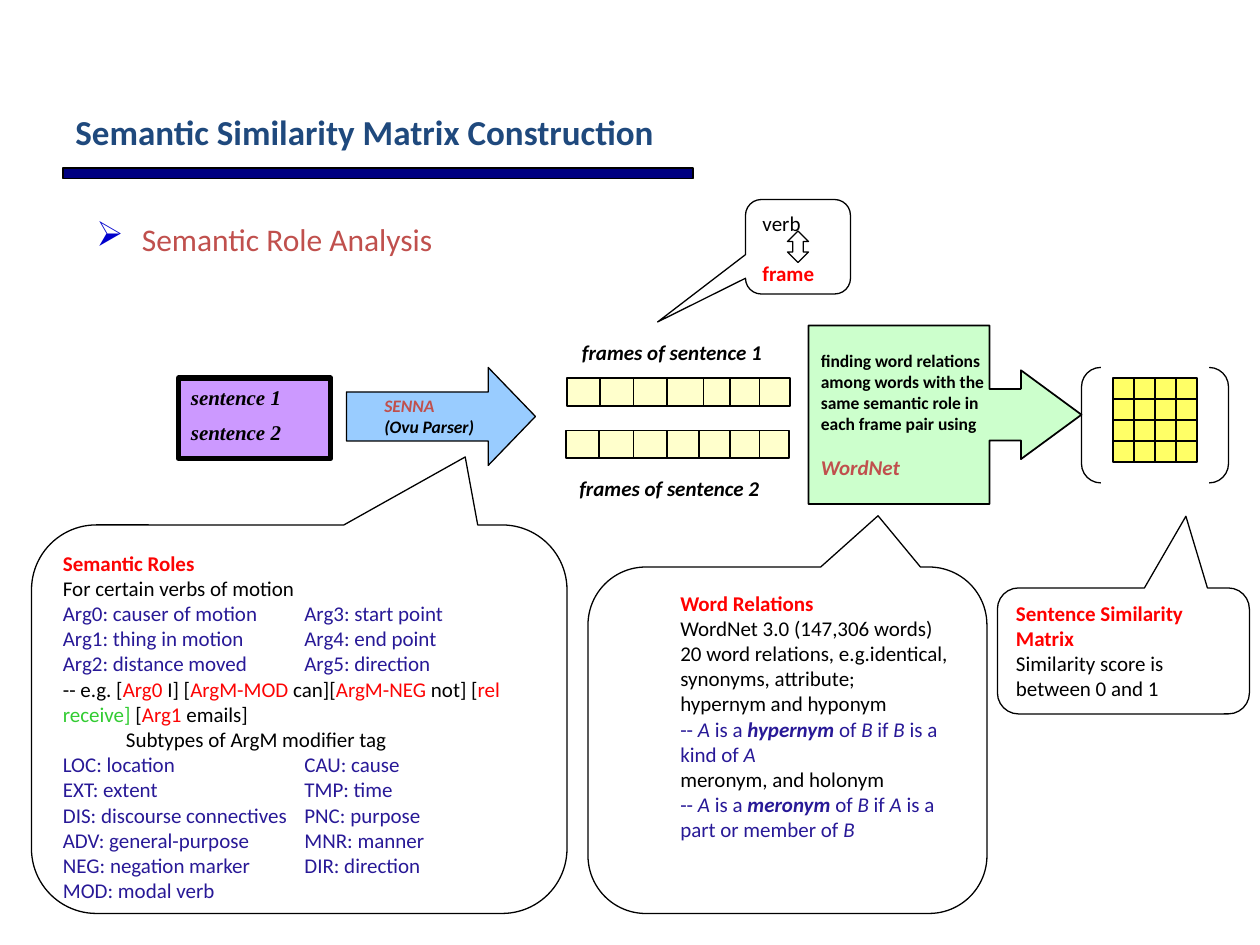
from dataclasses import dataclass

from lxml import etree
from pptx import Presentation
from pptx.dml.color import RGBColor
from pptx.enum import shapes, text
from pptx.oxml import ns
from pptx.util import Pt

KINDS = shapes.MSO_SHAPE


@dataclass(frozen=True)
class Theme:
    font: str = "Calibri"
    serif: str = "Times New Roman"
    title_size: int = 20
    section_size: int = 18
    body_size: int = 12
    small_size: int = 10
    black: str = "000000"
    title: str = "1F497D"
    accent: str = "C0504D"
    red: str = "FF0000"
    role: str = "FC0404"
    green: str = "33CC33"
    indigo: str = "281997"
    bullet: str = "0000CC"
    rule: str = "000080"
    sentence: str = "CC99FF"
    parser: str = "99CCFF"
    frame: str = "FFFFCC"
    finder: str = "CCFFCC"
    matrix: str = "FFFF66"


THEME = Theme()


def write_para(frame, content, size=THEME.body_size, color=THEME.black, bold=False,
               italic=False, font=THEME.font, before=0, margin=0, indent=0, tab=None, bullet=None):
    """Add a paragraph; content is a string or a list of (text, changes) spans."""
    first = frame.paragraphs[0]
    para = frame.add_paragraph() if first.runs else first
    para.alignment = text.PP_ALIGN.LEFT
    para.space_before = Pt(before)
    props = para._p.get_or_add_pPr()
    if margin:
        props.set("marL", str(Pt(margin)))
        props.set("indent", str(Pt(indent)))
    if bullet:
        paint = etree.SubElement(props, ns.qn("a:buClr"))
        etree.SubElement(paint, ns.qn("a:srgbClr"), val=THEME.bullet)
        etree.SubElement(props, ns.qn("a:buSzPct"), val="110000")
        etree.SubElement(props, ns.qn("a:buChar"), char=bullet)
    if tab:
        props.set("defTabSz", str(Pt(tab)))
        stops = etree.SubElement(props, ns.qn("a:tabLst"))
        etree.SubElement(stops, ns.qn("a:tab"), pos=str(Pt(tab)), algn="l")
    base = dict(color=color, bold=bold, italic=italic)
    for words, changes in [(content, {})] if isinstance(content, str) else content:
        style = {**base, **changes}
        span = para.add_run()
        span.text = words
        span.font.name = font
        span.font.size = Pt(size)
        span.font.bold = style["bold"]
        span.font.italic = style["italic"]
        span.font.color.rgb = RGBColor.from_string(style["color"])


def add_box(page, kind, box, fill=None, weight=0.75, adjust=()):
    shape = page.shapes.add_shape(kind, *map(Pt, box))
    shape.shadow.inherit = False
    for index, value in enumerate(adjust):
        shape.adjustments[index] = value
    if fill:
        shape.fill.solid()
        shape.fill.fore_color.rgb = RGBColor.from_string(fill)
    else:
        shape.fill.background()
    shape.line.color.rgb = RGBColor.from_string(THEME.black)
    shape.line.width = Pt(weight)
    shape.text_frame.vertical_anchor = text.MSO_ANCHOR.TOP
    return shape


def add_callout(page, box, tip):
    shape = add_box(page, KINDS.ROUNDED_RECTANGULAR_CALLOUT, box, adjust=(*tip, 0.167))
    return shape.text_frame


def add_label(page, box, content, anchor=text.MSO_ANCHOR.MIDDLE, wrap=True, **style):
    frame = page.shapes.add_textbox(*map(Pt, box)).text_frame
    frame.word_wrap = wrap
    frame.vertical_anchor = anchor
    write_para(frame, content, **style)


def add_line(page, x1, y1, x2, y2, weight):
    line = page.shapes.add_connector(shapes.MSO_CONNECTOR.STRAIGHT, *map(Pt, (x1, y1, x2, y2)))
    line.line.color.rgb = RGBColor.from_string(THEME.black)
    line.line.width = Pt(weight)
    etree.SubElement(line._element.spPr, ns.qn("a:effectLst"))


def draw_heading(page, box):
    left, top, width, height = box
    add_label(page, box, "Semantic Similarity Matrix Construction",
              size=THEME.title_size, color=THEME.title, bold=True)
    add_box(page, KINDS.RECTANGLE, (left, top + 66, 360, 6), THEME.rule)
    add_label(page, (left + 12, top + 92, 402, 52), "Semantic Role Analysis",
              anchor=text.MSO_ANCHOR.TOP, size=THEME.section_size, color=THEME.accent,
              before=5, margin=26, indent=-26, bullet="➢")


def draw_sentences(page, box):
    frame = add_box(page, KINDS.RECTANGLE, box, THEME.sentence, weight=3).text_frame
    for number in (1, 2):
        write_para(frame, f"sentence {number}", font=THEME.serif, bold=True, italic=True,
                   before=6 * (number - 1))


def draw_parser(page, box):
    frame = add_box(page, KINDS.RIGHT_ARROW, box, THEME.parser, adjust=(0.5, 0.482)).text_frame
    frame.vertical_anchor = text.MSO_ANCHOR.MIDDLE
    frame.margin_left = Pt(21.6)
    for words, color in (("SENNA", THEME.accent), ("(Ovu Parser)", THEME.black)):
        write_para(frame, words, size=THEME.small_size, color=color, bold=True, italic=True)


def draw_frame_row(page, box, splits, label, label_box):
    left, top, width, height = box
    add_box(page, KINDS.RECTANGLE, box, THEME.frame, weight=1)
    for split in splits:
        add_line(page, left + split, top, left + split, top + height, 1)
    add_label(page, label_box, label, wrap=False, bold=True, italic=True)


def draw_finder(page, box):
    frame = add_box(page, KINDS.RIGHT_ARROW_CALLOUT, box, THEME.finder, weight=1,
                    adjust=(0.289, 0.249, 0.339, 0.663)).text_frame
    frame.word_wrap = False
    frame.vertical_anchor = text.MSO_ANCHOR.MIDDLE
    for words in ("finding word relations", "among words with the",
                  "same semantic role in", "each frame pair using"):
        write_para(frame, words, size=THEME.small_size, bold=True)
    write_para(frame, "WordNet", color=THEME.accent, bold=True, italic=True, before=12)


def draw_roles(page, box):
    frame = add_callout(page, box, (0.31, -0.675))
    role, plain = dict(color=THEME.role), {}
    column = dict(color=THEME.indigo, tab=138)
    write_para(frame, "Semantic Roles", color=THEME.role, bold=True)
    write_para(frame, "For certain verbs of motion")
    for words in ("Arg0: causer of motion\tArg3: start point",
                  "Arg1: thing in motion\tArg4: end point",
                  "Arg2: distance moved\tArg5: direction"):
        write_para(frame, words, **column)
    write_para(frame, [("-- e.g. [", plain), ("Arg0", role), (" I] [", plain),
                       ("ArgM-MOD", role), (" can][", plain), ("ArgM-NEG", role),
                       (" not] [", plain), ("rel ", dict(color=THEME.red)),
                       ("receive]", dict(color=THEME.green)), (" [", plain),
                       ("Arg1", role), (" emails]", plain)])
    write_para(frame, "Subtypes of ArgM modifier tag", margin=36)
    for words in ("LOC: location\tCAU: cause", "EXT: extent\tTMP: time",
                  "DIS: discourse connectives\tPNC: purpose",
                  "ADV: general-purpose\tMNR: manner",
                  "NEG: negation marker\tDIR: direction", "MOD: modal verb"):
        write_para(frame, words, **column)


def draw_relations(page, box):
    frame = add_callout(page, box, (0.227, -0.648))
    slant, plain = dict(italic=True), {}

    def define(relation, subject, link, target):
        write_para(frame, [("-- ", plain), ("A", slant), (" is a ", plain),
                           (relation, dict(bold=True, italic=True)), (" of ", plain),
                           ("B", slant), (" if ", plain), (subject, slant),
                           (f" is a {link} of ", plain), (target, slant)],
                   color=THEME.indigo, margin=36)

    write_para(frame, "Word Relations", color=THEME.red, bold=True, margin=36)
    for words in ("WordNet 3.0 (147,306 words)",
                  "20 word relations, e.g.identical, synonyms, attribute;",
                  "hypernym and hyponym"):
        write_para(frame, words, margin=36)
    define("hypernym", "B", "kind", "A")
    write_para(frame, "meronym, and holonym", margin=36)
    define("meronym", "A", "part or member", "B")


def draw_verb_note(page, box):
    left, top, width, height = box
    add_box(page, KINDS.UP_DOWN_ARROW, (left + 24, top + 18, 12, 18), adjust=(0.3, 0.5))
    frame = add_callout(page, box, (-1.337, 0.796))
    write_para(frame, "verb")
    write_para(frame, "frame", color=THEME.red, bold=True, before=14)


def draw_score_note(page, box):
    frame = add_callout(page, box, (0.248, -1.069))
    write_para(frame, "Sentence Similarity Matrix", color=THEME.red, bold=True)
    write_para(frame, "Similarity score is between 0 and 1")


def draw_matrix(page, box, count=4):
    left, top, width, height = box
    add_box(page, KINDS.DOUBLE_BRACKET, (left - 18, top - 6, width + 36, height + 18),
            adjust=(0.167,))
    add_box(page, KINDS.RECTANGLE, box, THEME.matrix)
    for step in range(1, count):
        x, y = left + width * step / count, top + height * step / count
        add_line(page, left, y, left + width, y, 0.75)
        add_line(page, x, top, x, top + height, 0.75)


def main():
    deck = Presentation()
    deck.slide_width, deck.slide_height = Pt(720), Pt(540)
    page = deck.slides.add_slide(deck.slide_layouts[6])
    draw_heading(page, (36, 30, 648, 90))
    draw_sentences(page, (102, 216, 87, 46))
    draw_parser(page, (198, 210, 108, 56))
    draw_frame_row(page, (324, 216, 127.5, 16), (19, 38, 57, 78, 93, 110),
                   "frames of sentence 1", (325.5, 191.5, 125, 19))
    draw_frame_row(page, (323.5, 246, 127.5, 16), (19, 38.5, 57.5, 76, 93.5, 110.5),
                   "frames of sentence 2", (324, 269.5, 125, 19))
    draw_finder(page, (462, 186, 156, 102))
    draw_roles(page, (18, 300, 306, 222))
    draw_relations(page, (336, 324, 228, 198))
    draw_verb_note(page, (426, 114, 60, 54))
    draw_score_note(page, (570, 336, 144, 72))
    draw_matrix(page, (636, 216, 48, 48))
    deck.save("out.pptx")


if __name__ == "__main__":
    main()
